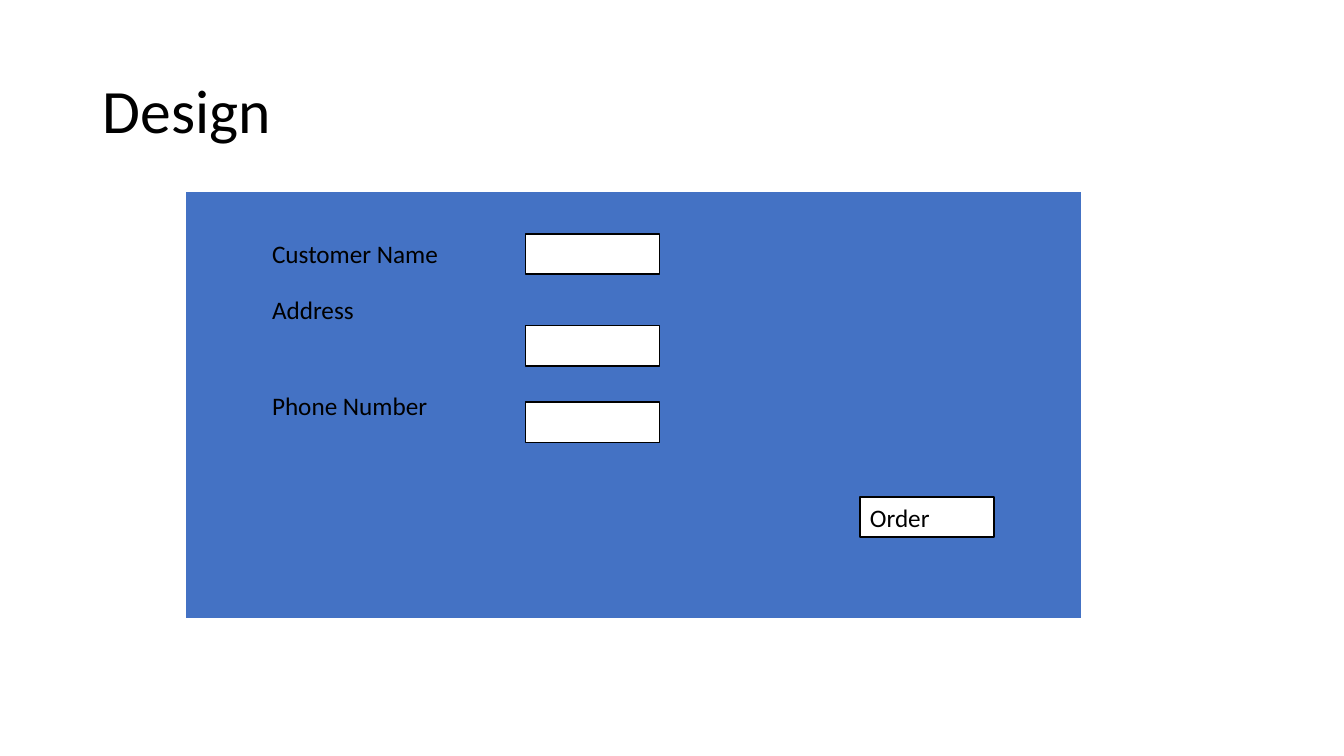
from lxml import etree
from pptx import Presentation
from pptx.dml import color
from pptx.enum import shapes, text
from pptx.oxml import ns
from pptx.util import Inches, Pt

COLORS = {"panel": "4472C4", "field": "FFFFFF", "border": "FFFFFF", "ink": "000000"}
FONT = "Calibri"
FIELD_WIDTH, FIELD_HEIGHT = 1.33, 0.4
FORM_ROWS = [("Customer Name", 0.42, 0.42), ("Address", 0.97, 1.33), ("Phone Number", 1.92, 2.09)]


def rgb(name):
    """Return the named colour."""
    return color.RGBColor.from_string(COLORS[name])


def write(frame, words, size):
    """Put one line of left-aligned text in a frame."""
    para = frame.paragraphs[0]
    para.text = words
    para.alignment = text.PP_ALIGN.LEFT
    para.font.name = FONT
    para.font.size = Pt(size)
    para.font.color.rgb = rgb("ink")
    return para


def add_title(page, left, top, width, height):
    """Place the page title in its placeholder."""
    title = page.shapes.title
    title.left, title.top = Inches(left), Inches(top)
    title.width, title.height = Inches(width), Inches(height)
    title.text_frame.vertical_anchor = text.MSO_ANCHOR.MIDDLE
    write(title.text_frame, "Design", 44).line_spacing = 0.9


def add_panel(page, left, top, width, height):
    """Draw the form background as a one-cell table."""
    frame = page.shapes.add_table(1, 1, Inches(left), Inches(top), Inches(width), Inches(height))
    cell = frame.table.cell(0, 0)
    properties = cell._tc.get_or_add_tcPr()
    for side, points in (("L", 1), ("R", 1), ("T", 1), ("B", 3)):
        line = etree.SubElement(properties, ns.qn(f"a:ln{side}"), w=str(Pt(points)))
        fill = etree.SubElement(line, ns.qn("a:solidFill"))
        etree.SubElement(fill, ns.qn("a:srgbClr"), val=COLORS["border"])
    cell.fill.solid()
    cell.fill.fore_color.rgb = rgb("panel")


def add_label(page, words, left, top):
    """Add the caption of one form field."""
    box = page.shapes.add_textbox(Inches(left), Inches(top), Inches(2.23), Inches(FIELD_HEIGHT))
    box.text_frame.word_wrap = True
    write(box.text_frame, words, 18)


def add_field(page, left, top):
    """Draw an outlined white field and return it."""
    field = page.shapes.add_shape(
        shapes.MSO_SHAPE.RECTANGLE, Inches(left), Inches(top), Inches(FIELD_WIDTH), Inches(FIELD_HEIGHT)
    )
    field.shadow.inherit = False
    field.fill.solid()
    field.fill.fore_color.rgb = rgb("field")
    field.line.color.rgb = rgb("ink")
    field.line.width = Pt(1)
    return field


def add_form(page, left, top, width, height):
    """Place the order form inside its box."""
    add_panel(page, left, top, width, height)
    for words, label_top, field_top in FORM_ROWS:
        add_label(page, words, left + 0.76, top + label_top)
        add_field(page, left + 3.37, top + field_top)
    button = add_field(page, left + 6.69, top + 3.03)
    button.text_frame.vertical_anchor = text.MSO_ANCHOR.TOP
    write(button.text_frame, "Order", 18)


def main():
    """Build and save the deck."""
    deck = Presentation()
    deck.slide_width, deck.slide_height = Inches(13.33), Inches(7.5)
    page = deck.slides.add_slide(deck.slide_layouts.get_by_name("Title Only"))
    add_title(page, 0.92, 0.4, 11.5, 1.45)
    add_form(page, 1.84, 1.9, 8.89, 4.25)
    deck.save("out.pptx")


if __name__ == "__main__":
    main()
